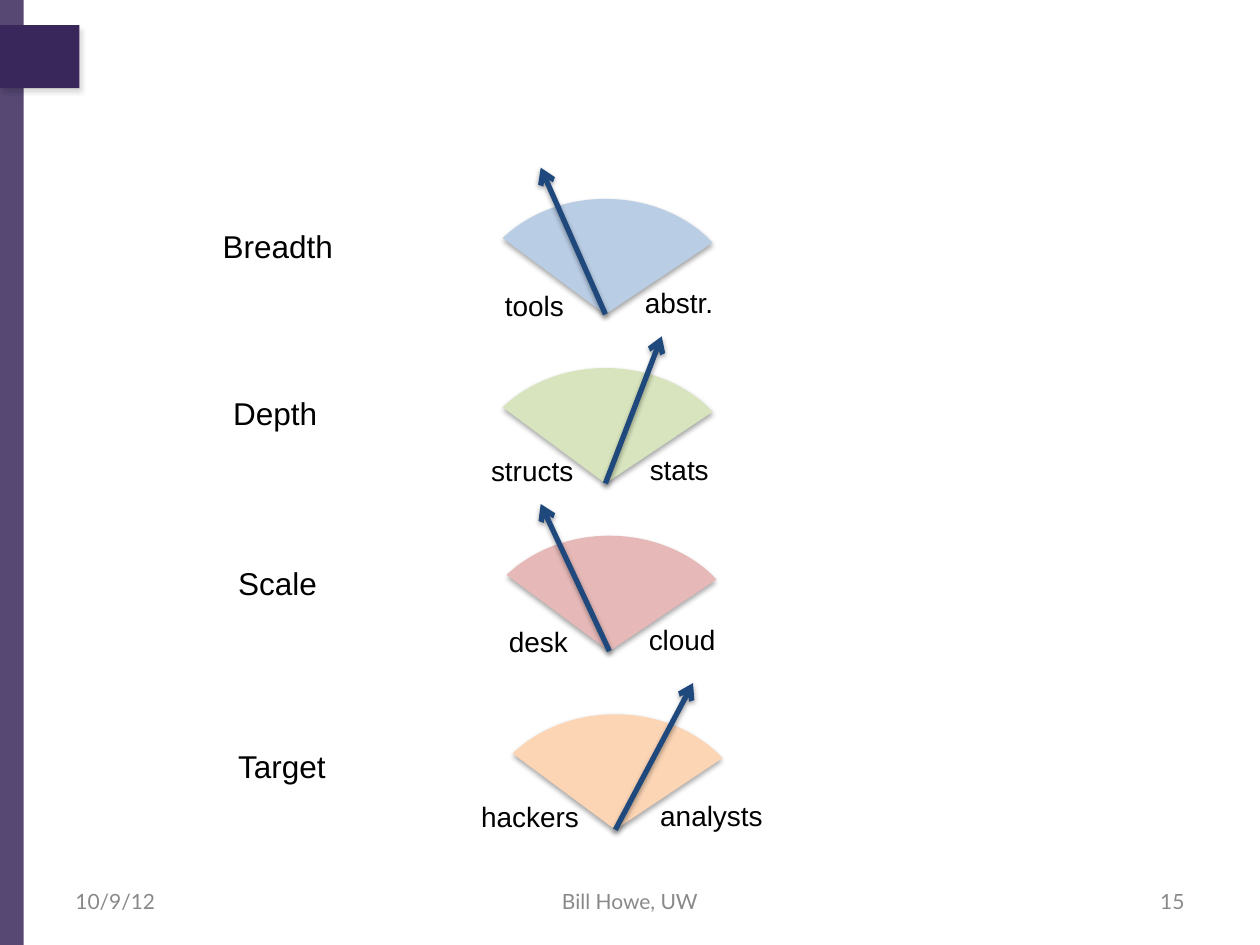
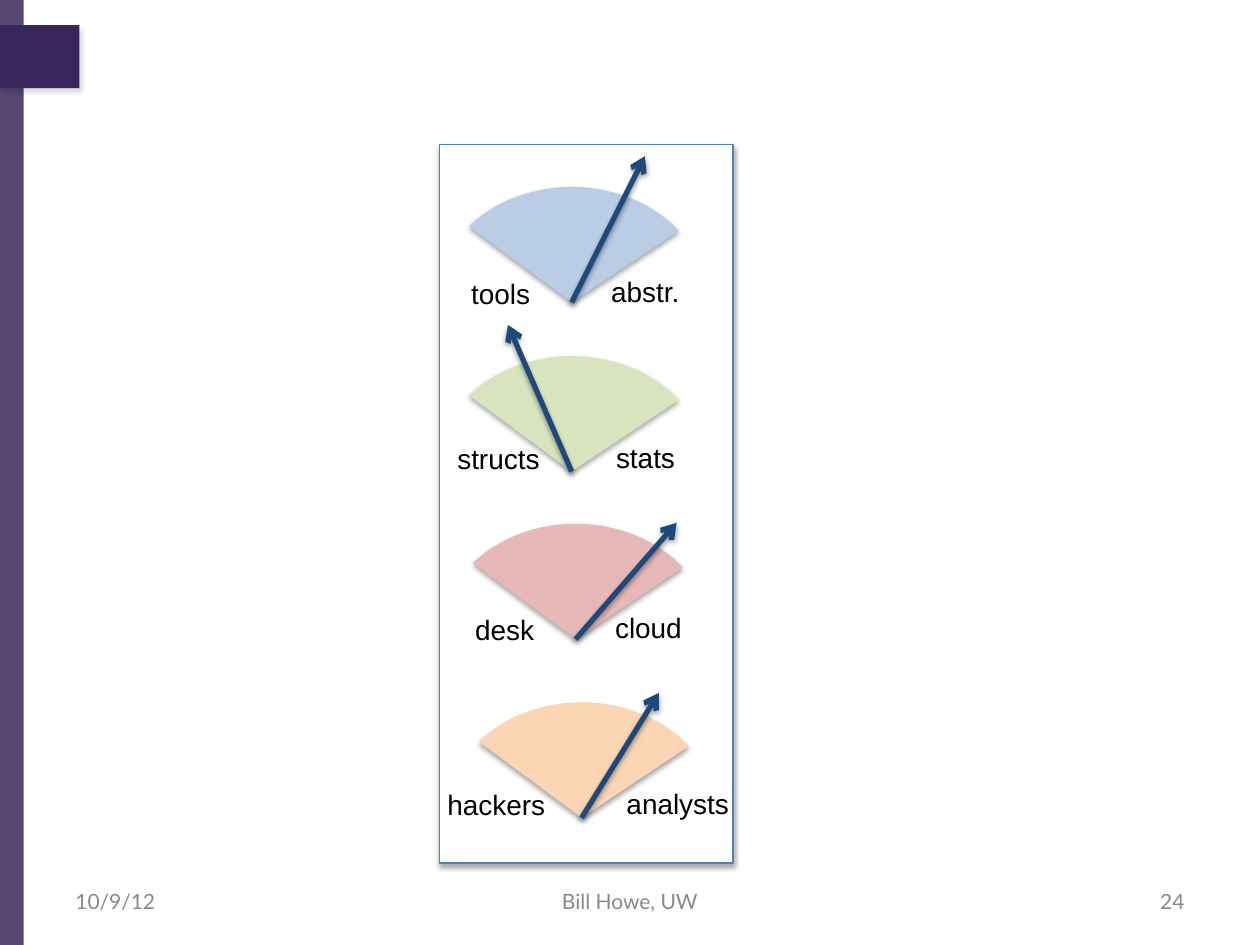
from lxml import etree
from pptx import Presentation
from pptx.dml.color import RGBColor
from pptx.enum import shapes, text
from pptx.oxml.ns import qn
from pptx.util import Cm, Pt

HUES = {
    "band": "39275B", "gray": "898989", "ink": "000000", "page": "FFFFFF",
    "edge": "4F81BD", "hand": "1F497D", "blue": "B9CDE5",
    "green": "D7E4BD", "red": "E6B9B8", "peach": "FCD5B5",
}
KIND = shapes.MSO_SHAPE
LEFT, MID, RIGHT = text.PP_ALIGN.LEFT, text.PP_ALIGN.CENTER, text.PP_ALIGN.RIGHT

# All lengths are in centimetres.
WIDE, HIGH = 25.4, 19.05
PIE_W, PIE_H = 5.51, 4.65
PIE_ARC = (129.915, 195.772)
BOX_H = 0.94
SOFT = (35, 3.1, 1.8, 90)  # alpha %, blur pt, distance pt, angle

# name, its corner, hue, corner of dial, (low word, corner), (high word, corner)
DIALS = [
    ("Breadth", (4.24, 4.45), "blue", (9.45, 4.01),
     ("tools", (9.93, 5.69)), ("abstr.", (12.75, 5.64))),
    ("Depth", (4.45, 7.82), "green", (9.45, 7.42),
     ("structs", (9.65, 9.02)), ("stats", (12.85, 8.99))),
    ("Scale", (4.55, 11.25), "red", (9.53, 10.8),
     ("desk", (10.01, 12.47)), ("cloud", (12.83, 12.42))),
    ("Target", (4.55, 14.94), "peach", (9.65, 14.4),
     ("hackers", (9.45, 16.0)), ("analysts", (13.06, 15.98))),
]

PAGES = [
    {"num": "15", "shift": (0, 0), "names": True, "frame": None,
     "tips": [(10.9, 3.38), (13.34, 6.78), (10.9, 10.16), (13.97, 13.77)]},
    {"num": "24", "shift": (-0.68, -0.24), "names": False,
     "frame": (8.86, 2.92, 5.92, 14.48),
     "tips": [(13.0, 3.15), (10.24, 6.55), (13.64, 10.54), (13.28, 13.97)]},
]


def tint(name):
    return RGBColor.from_string(HUES[name])


def shade(item, alpha, blur, dist, angle):
    """Give a shape or connector an outer shadow; call after fill and line."""
    fx = etree.SubElement(item.element.spPr, qn("a:effectLst"))
    drop = etree.SubElement(
        fx, qn("a:outerShdw"), blurRad=str(Pt(blur)), dist=str(Pt(dist)),
        dir=str(angle * 60000), rotWithShape="0")
    clr = etree.SubElement(drop, qn("a:srgbClr"), val=HUES["ink"])
    etree.SubElement(clr, qn("a:alpha"), val=str(alpha * 1000))


def add_form(tree, kind, box, hue, edge=None):
    form = tree.add_shape(kind, *map(Cm, box))
    form.fill.solid()
    form.fill.fore_color.rgb = tint(hue)
    if edge:
        form.line.color.rgb = tint(edge)
        form.line.width = Pt(0.75)
    else:
        form.line.fill.background()
    return form


def add_text(tree, words, box, size=16, font="Arial", hue="ink",
             align=LEFT, anchor=text.MSO_ANCHOR.TOP):
    frame = tree.add_textbox(*map(Cm, box)).text_frame
    frame.word_wrap = True
    frame.vertical_anchor = anchor
    para = frame.paragraphs[0]
    para.alignment = align
    run = para.add_run()
    run.text = words
    run.font.size = Pt(size)
    run.font.name = font
    run.font.color.rgb = tint(hue)


def add_hand(tree, start, tip):
    hand = tree.add_connector(shapes.MSO_CONNECTOR.STRAIGHT,
                              *map(Cm, (*start, *tip)))
    hand.line.color.rgb = tint("hand")
    hand.line.width = Pt(3)
    line = hand.element.spPr.find(qn("a:ln"))
    etree.SubElement(line, qn("a:tailEnd"), type="arrow")
    shade(hand, 38, 3.1, 1.6, 90)


def add_dial(tree, dial, tip, shift):
    _, _, hue, spot, *ends = dial
    dx, dy = shift
    x, y = spot[0] + dx, spot[1] + dy
    pie = add_form(tree, KIND.PIE, (x, y, PIE_W, PIE_H), hue)
    pie.adjustments[0], pie.adjustments[1] = PIE_ARC
    shade(pie, *SOFT)
    for word, (left, top) in ends:
        add_text(tree, word, (left + dx, top + dy, 2.72, BOX_H))
    add_hand(tree, (x + PIE_W / 2, y + PIE_H / 2), tip)


def add_bands(deck, slide):
    """Build the bands on a slide, then move them to the master."""
    side = add_form(slide.shapes, KIND.RECTANGLE, (0, 0, 0.48, HIGH), "band")
    side.shadow.inherit = False
    clr = side.element.spPr.find(qn("a:solidFill")).find(qn("a:srgbClr"))
    etree.SubElement(clr, qn("a:alpha"), val="85000")
    tab = add_form(slide.shapes, KIND.RECTANGLE, (0, 0.51, 1.6, 1.27), "band")
    shade(tab, 15, 3, 3, 60)
    for band in (side, tab):
        deck.slide_master.shapes.element.append(band.element)


def add_foot(slide, num):
    parts = [("10/9/12", 1.27, 5.93, LEFT), ("Bill Howe, UW", 8.68, 8.04, MID),
             (num, 18.2, 5.93, RIGHT)]
    for words, left, width, align in parts:
        add_text(slide.shapes, words, (left, 17.66, width, 1.01), 12, "Lato",
                 "gray", align, text.MSO_ANCHOR.MIDDLE)


def main():
    deck = Presentation()
    deck.slide_width, deck.slide_height = Cm(WIDE), Cm(HIGH)
    for page in PAGES:
        slide = deck.slides.add_slide(deck.slide_layouts[6])
        if page is PAGES[0]:
            add_bands(deck, slide)
        add_foot(slide, page["num"])
        tree = slide.shapes
        if page["frame"]:
            tree = tree.add_group_shape().shapes
            panel = add_form(tree, KIND.RECTANGLE, page["frame"], "page", "edge")
            shade(panel, *SOFT)
        for dial, tip in zip(DIALS, page["tips"]):
            add_dial(tree, dial, tip, page["shift"])
            if page["names"]:
                name, spot = dial[:2]
                add_text(tree, name, (*spot, 4.45, 1.02), 18)
    deck.save("out.pptx")


if __name__ == "__main__":
    main()
